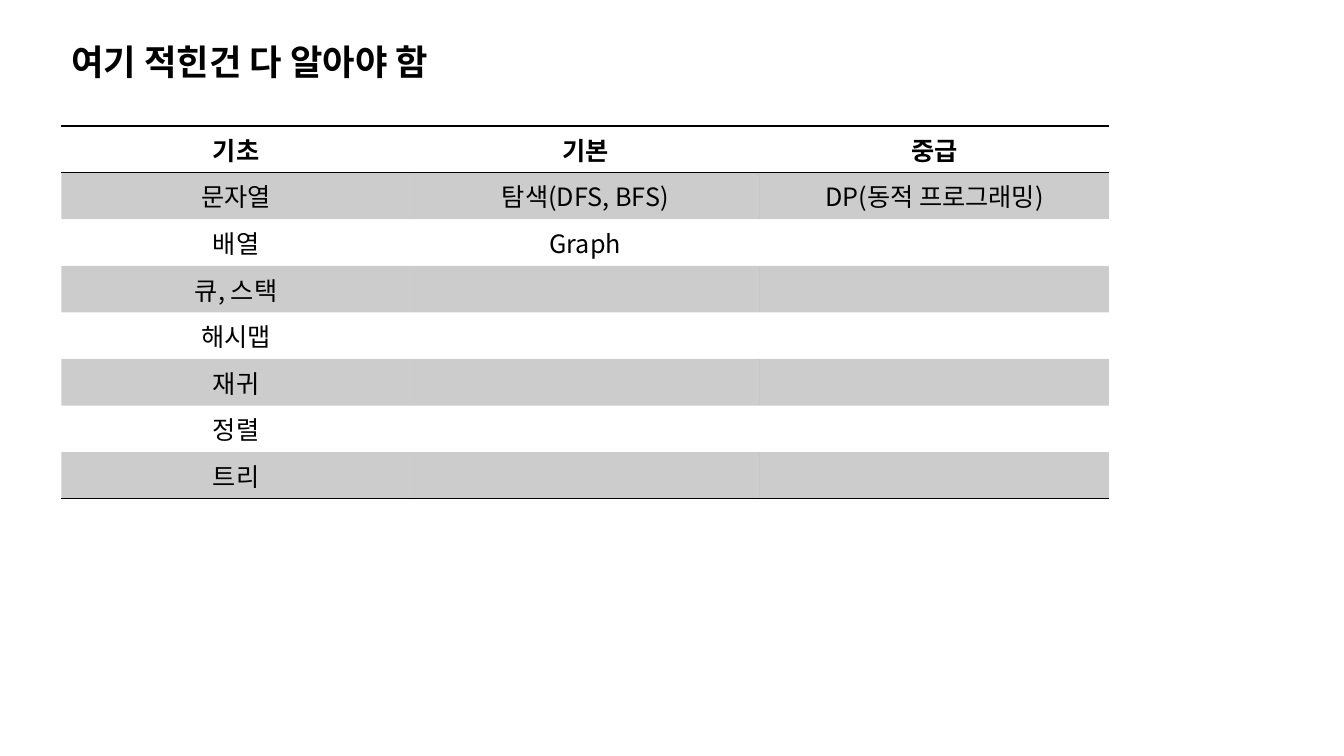
from pptx import Presentation
from pptx.dml.color import RGBColor
from pptx.enum.text import MSO_ANCHOR, PP_ALIGN
from pptx.oxml import parse_xml
from pptx.oxml.ns import nsdecls, qn
from pptx.util import Inches, Pt
from lxml.etree import SubElement

FONT = "Noto Sans CJK KR"
BLACK = "000000"
PLAIN = "{2D5ABB26-0587-4C30-8999-92F81FD0307C}"
TITLE = "여기 적힌건 다 알아야 함"
ROWS = [
    ["기초", "기본", "중급"],
    ["문자열", "탐색(DFS, BFS)", "DP(동적 프로그래밍)"],
    ["배열", "Graph", ""],
    ["큐, 스택", "", ""],
    ["해시맵", "", ""],
    ["재귀", "", ""],
    ["정렬", "", ""],
    ["트리", "", ""],
]


def color(code):
    return RGBColor.from_string(code)


def style(para, size, bold):
    for run in para.runs:
        font = run.font
        font.size = Pt(size)
        font.bold = bold
        font.color.rgb = color(BLACK)
        font.name = FONT
        SubElement(run._r.get_or_add_rPr(), qn("a:ea")).set("typeface", FONT)


def add_title(slide):
    box = slide.shapes.add_textbox(Inches(0.61), Inches(0.44), Inches(11.5), Inches(0.39))
    frame = box.text_frame
    frame.word_wrap = True
    frame.vertical_anchor = MSO_ANCHOR.MIDDLE
    frame.text = TITLE
    para = frame.paragraphs[0]
    para.line_spacing = 0.9
    style(para, 25.2, True)


def shade(cell, band):
    if not band:
        cell.fill.background()
        return
    cell.fill.solid()
    cell.fill.fore_color.rgb = color(BLACK)
    tint = cell._tc.get_or_add_tcPr().find(".//" + qn("a:srgbClr"))
    SubElement(tint, qn("a:alpha")).set("val", "20000")


def add_rules(cell, sides):
    props = cell._tc.get_or_add_tcPr()
    for spot, side in enumerate(sides):
        props.insert(spot, parse_xml(
            f'<a:ln{side} {nsdecls("a")} w="{Pt(1)}"><a:solidFill>'
            f'<a:srgbClr val="{BLACK}"/></a:solidFill></a:ln{side}>'))


def add_grid(slide):
    count, width = len(ROWS), len(ROWS[0])
    frame = slide.shapes.add_table(
        count, width, Inches(0.61), Inches(1.25), Inches(10.39), Inches(3.24))
    table = frame.table
    table.first_row = False
    table.horz_banding = False
    table._tbl.tblPr.find(qn("a:tableStyleId")).text = PLAIN
    rules = {0: "TB", count - 1: "B"}
    for y, row in enumerate(ROWS):
        for x, word in enumerate(row):
            cell = table.cell(y, x)
            cell.text_frame.text = word
            para = cell.text_frame.paragraphs[0]
            para.alignment = PP_ALIGN.CENTER
            style(para, 18, y == 0)
            shade(cell, y % 2 == 1)
            add_rules(cell, rules.get(y, ""))


def main():
    deck = Presentation()
    deck.slide_width = Inches(13.33)
    deck.slide_height = Inches(7.5)
    slide = deck.slides.add_slide(deck.slide_layouts[6])
    add_grid(slide)
    add_title(slide)
    deck.save("out.pptx")


if __name__ == "__main__":
    main()
